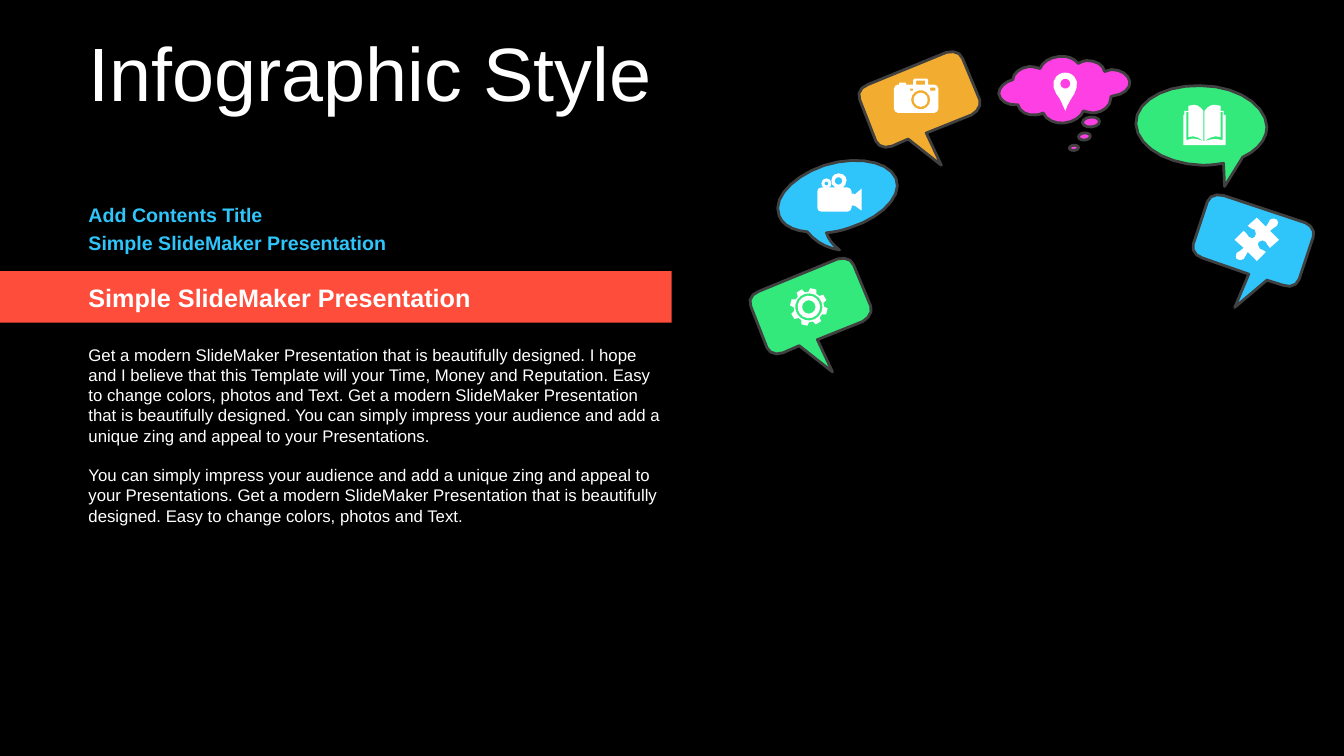
import math
from dataclasses import dataclass

import pptx
import pptx.dml.color
import pptx.enum.shapes
import pptx.enum.text
import pptx.util

Cm, Pt = pptx.util.Cm, pptx.util.Pt
Point = tuple[float, float]
Loops = list[list[Point]]


@dataclass(frozen=True)
class Theme:
    font: str = "Arial"
    back: str = "000000"
    white: str = "FFFFFF"
    red: str = "FE4D3B"
    blue: str = "2FC5FA"
    green: str = "33E97C"
    gold: str = "F2AC30"
    pink: str = "FE3FE4"
    edge: str = "404040"
    title: int = 54
    head: int = 18
    lead: int = 14
    body: int = 12


@dataclass(frozen=True)
class Bubble:
    route: str
    fill: str
    dx: float = 0
    dy: float = 0


@dataclass(frozen=True)
class Label:
    text: str
    top: float
    width: float
    height: float
    size: int
    color: str
    bold: bool = False
    gap: int = 0
    middle: bool = False


THEME = Theme()
UNIT = 0.0254  # cm per outline unit
LEFT = 1.98
HALF = 16.93


def rgb(code: str) -> pptx.dml.color.RGBColor:
    return pptx.dml.color.RGBColor.from_string(code)


# Text
def write(frame, text: str, *, size: int, color: str, bold: bool = False,
          gap: int = 0, middle: bool = False, spacing: float = 1.0) -> None:
    anchor = pptx.enum.text.MSO_ANCHOR
    frame.word_wrap = True
    frame.auto_size = pptx.enum.text.MSO_AUTO_SIZE.NONE
    frame.vertical_anchor = anchor.MIDDLE if middle else anchor.TOP
    frame.text = text
    for rank, para in enumerate(frame.paragraphs):
        para.alignment = pptx.enum.text.PP_ALIGN.LEFT
        para.line_spacing = spacing
        para.space_before = Pt(gap if rank else 0)
        font = para.font
        font.name, font.size, font.bold = THEME.font, Pt(size), bold
        font.color.rgb = rgb(color)


# Outlines: M move, L line, C curve, O circle (centre, radius), R box
def ring(x: float, y: float, r: float) -> list[Point]:
    count = max(8, round(4.5 * math.sqrt(r)))
    turns = [math.tau * k / count for k in range(count)]
    return [(x + r * math.cos(a), y + r * math.sin(a)) for a in turns]


def curve(a: Point, b: Point, c: Point, d: Point) -> list[Point]:
    steps = max(1, round(0.8 * math.sqrt(math.dist(a, d))))

    def at(t: float, axis: int) -> float:
        u = 1 - t
        return (u**3 * a[axis] + 3 * u * u * t * b[axis]
                + 3 * u * t * t * c[axis] + t**3 * d[axis])
    return [(at(k / steps, 0), at(k / steps, 1)) for k in range(1, steps + 1)]


def trace(route: str) -> Loops:
    loops: Loops = []
    for mark in "MLCOR":
        route = route.replace(mark, f"|{mark} ")
    for part in route.split("|")[1:]:
        mark, *words = part.split()
        nums = [float(w) for w in words]
        pts = list(zip(nums[::2], nums[1::2]))
        if mark == "M":
            loops.append(pts)
        elif mark == "L":
            loops[-1] += pts
        elif mark == "C":
            for k in range(0, len(pts), 3):
                loops[-1] += curve(loops[-1][-1], *pts[k:k + 3])
        elif mark == "O":
            loops.append(ring(*nums))
        else:
            x, y, w, h = nums
            loops.append([(x, y), (x + w, y), (x + w, y + h), (x, y + h)])
    return loops


def gear(x: float, y: float) -> Loops:
    teeth = []
    for k in range(8):
        for r, turn in ((15, -15.5), (18.7, -9.5), (18.7, 9.5), (15, 15.5)):
            a = math.radians(45 * k - 76 + turn)
            teeth.append((x + r * math.cos(a), y + r * math.sin(a)))
    return [teeth] + [ring(x, y, r) for r in (13.5, 11.2, 6.7)]


def paint(shape, fill: str, edge: str = "") -> None:
    shape.shadow.inherit = False
    shape.fill.solid()
    shape.fill.fore_color.rgb = rgb(fill)
    if edge:
        shape.line.color.rgb = rgb(edge)
        shape.line.width = Pt(2)
    else:
        shape.line.fill.background()


def draw(shapes, loops: Loops, fill: str, edge: str = "",
         dx: float = 0, dy: float = 0) -> None:
    paths = [[(Cm((x + dx) * UNIT), Cm((y + dy) * UNIT)) for x, y in loop]
             for loop in loops]
    pen = shapes.build_freeform(*paths[0][0], scale=1.0)
    for rank, pts in enumerate(paths):
        if rank:
            pen.move_to(*pts[0])
        pen.add_line_segments(pts[1:], close=True)
    paint(pen.convert_to_shape(), fill, edge)


LABELS = [
    Label("Simple SlideMaker Presentation", 6.99, 14.96, 1.02,
          THEME.head, THEME.white, bold=True, middle=True),
    Label("Get a modern SlideMaker Presentation that is beautifully designed. "
          "I hope and I believe that this Template will your Time, Money and "
          "Reputation. Easy to change colors, photos and Text. Get a modern "
          "SlideMaker Presentation that is beautifully designed. You can simply "
          "impress your audience and add a unique zing and appeal to your "
          "Presentations.\nYou can simply impress your audience and add a unique "
          "zing and appeal to your Presentations. Get a modern SlideMaker "
          "Presentation that is beautifully designed. Easy to change colors, "
          "photos and Text.", 8.56, 14.96, 4.88, THEME.body, THEME.white, gap=14),
    Label("Simple SlideMaker Presentation", 5.69, 8.71, 0.86,
          THEME.lead, THEME.blue, bold=True),
    Label("Add Contents Title", 4.98, 8.71, 0.86,
          THEME.lead, THEME.blue, bold=True),
]

CLOUD = """M1051 56C1059 55 1066 58 1070 63 1072 61 1075 61 1078 60
 1087 60 1095 64 1096 71 1098 70 1100 70 1103 69 1112 69 1120 74 1121 81
 1122 88 1114 94 1105 95 1102 95 1102 96 1102 98
 1102 105 1095 111 1086 112 1082 112 1078 111 1075 110 1073 116 1065 121 1056 122
 1047 123 1038 119 1035 112 1033 113 1031 114 1028 114 1019 115 1012 111 1010 104
 1000 105 992 100 991 93 991 87 997 81 1005 79
 1005 73 1012 67 1021 66 1025 66 1029 67 1032 68 1034 62 1041 57 1051 56"""
TILT = """M939 52L861 84C854 86 850 93 853 99L869 140C871 145 878 148 885 145
 L901 138 934 164 919 132 964 114C970 111 974 104 972 99L955 58C953 52 946 50 939 52"""
BUBBLES = [
    Bubble(CLOUD, THEME.pink),
    Bubble("""M1191 85C1227 85 1256 104 1257 126 1257 138 1248 149 1233 156
 L1215 185 1214 162C1208 163 1201 164 1193 164 1157 163 1128 145 1127 123
 1126 101 1155 84 1191 85""", THEME.green),
    Bubble("""M1214 194L1295 221C1301 223 1305 230 1303 235L1289 277
 C1287 283 1280 286 1273 283L1257 278 1225 305 1239 272 1193 256
 C1186 254 1182 248 1184 242L1198 200C1200 194 1207 192 1214 194""", THEME.blue),
    Bubble("""M818 164C786 175 766 197 773 214 776 223 787 229 801 230
 809 240 820 246 833 248 826 243 822 237 820 231 828 230 835 229 843 226
 875 216 896 194 889 177 882 160 850 154 818 164""", THEME.blue),
    Bubble(TILT, THEME.green, -108, 205),
    Bubble(TILT, THEME.gold),
]
PUFFS = [(27.28, 2.95, 0.43, 0.25), (27.18, 3.35, 0.3, 0.18),
         (26.95, 3.66, 0.23, 0.13)]

CAMERA = """O913.5 99 7O913.5 99 9.5R903 88 3 2R923 87 5 3R909 80 9 4
 M907 78L920 78 921 80 921 84 927 84C929 84 931 86 931 88
 L931 108C931 110 929 112 927 112L891 112C889 112 887 110 887 108
 L887 88C887 86 889 84 891 84L892 84 892 82 899 82 899 84 906 84 906 80"""
FILM = """O820 182 2O832 179.5 3.75
 M832 172C837 172 840 175 840 179 840 182 838 185 836 186L841 186
 C843 186 845 188 845 190L845 192 847 192 848 193 855 187 855 209 848 204 845 204
 845 206C845 208 843 210 841 210L815 210C812 210 811 208 811 206L811 190
 C811 188 812 186 815 186L818 186C816 186 815 184 815 182 815 179 817 177 820 177
 823 177 825 179 825 182 825 184 824 186 822 186L829 186C826 185 825 182 825 179
 825 175 828 172 832 172"""
PIN = """O1057 83 5M1057 72C1060 72 1063 73 1066 76 1070 80 1069 87 1066 93
 1062 99 1060 102 1057 110 1053 102 1053 99 1048 93 1044 87 1044 80 1048 76
 1051 73 1054 72 1057 72"""
PUZZLE = """M1267 218C1268 219 1269 222 1267 224 1265 227 1263 225 1260 229
 L1269 238 1260 246C1257 244 1258 242 1256 240 1254 238 1251 238 1249 240
 1248 241 1247 244 1250 247 1253 249 1253 247 1256 250L1247 259 1238 250
 C1235 253 1237 254 1234 257 1232 259 1229 258 1227 257 1226 256 1226 253 1227 251
 1229 248 1232 250 1234 246L1225 238 1234 229C1238 231 1236 233 1239 235
 1241 237 1244 237 1245 235 1246 234 1247 231 1245 228 1242 226 1241 228 1238 224
 L1247 216 1256 225C1259 222 1258 221 1260 218 1262 216 1265 217 1267 218"""
BOOK = """M1194 140L1195 140C1202 138 1205 137 1213 139L1213 111 1211 111 1211 136
 C1206 134 1200 136 1195 140L1195 110C1198 106 1201 104 1205 104
 1207 104 1209 105 1211 105L1211 110 1214 110 1214 114 1216 114 1216 144 1174 144
 1174 114 1175 114 1175 110 1179 110 1179 105C1181 105 1183 104 1185 104
 1188 104 1191 106 1194 110L1194 140C1189 136 1184 134 1179 136L1179 111 1177 111
 1177 139C1184 136 1188 138 1194 140"""


def main() -> None:
    deck = pptx.Presentation()
    deck.slide_width, deck.slide_height = Cm(33.87), Cm(19.05)
    slide = deck.slides.add_slide(deck.slide_layouts[5])
    slide.background.fill.solid()
    slide.background.fill.fore_color.rgb = rgb(THEME.back)
    shapes = slide.shapes
    kind = pptx.enum.shapes.MSO_SHAPE

    # Title
    title = shapes.title
    title.left, title.top = Cm(LEFT), Cm(0.94)
    title.width, title.height = Cm(31.06), Cm(2.01)
    write(title.text_frame, "Infographic Style", size=THEME.title,
          color=THEME.white, middle=True, spacing=0.9)

    # Band and labels
    band = shapes.add_shape(kind.RECTANGLE, 0, Cm(6.83), Cm(HALF), Cm(1.3))
    paint(band, THEME.red)
    for tag in LABELS:
        box = shapes.add_textbox(Cm(LEFT), Cm(tag.top), Cm(tag.width), Cm(tag.height))
        write(box.text_frame, tag.text, size=tag.size, color=tag.color,
              bold=tag.bold, gap=tag.gap, middle=tag.middle)

    # Speech bubbles
    for item in BUBBLES:
        draw(shapes, trace(item.route), item.fill, THEME.edge, item.dx, item.dy)
    for spot in PUFFS:
        puff = shapes.add_shape(kind.OVAL, *map(Cm, spot))
        puff.rotation = 355.2
        paint(puff, THEME.pink, THEME.edge)

    # Icons
    icons = [trace(route) for route in (CAMERA, FILM, PIN, PUZZLE, BOOK)]
    for loops in icons + [gear(802.5, 304.5)]:
        draw(shapes, loops, THEME.white)

    deck.save("out.pptx")


if __name__ == "__main__":
    main()
